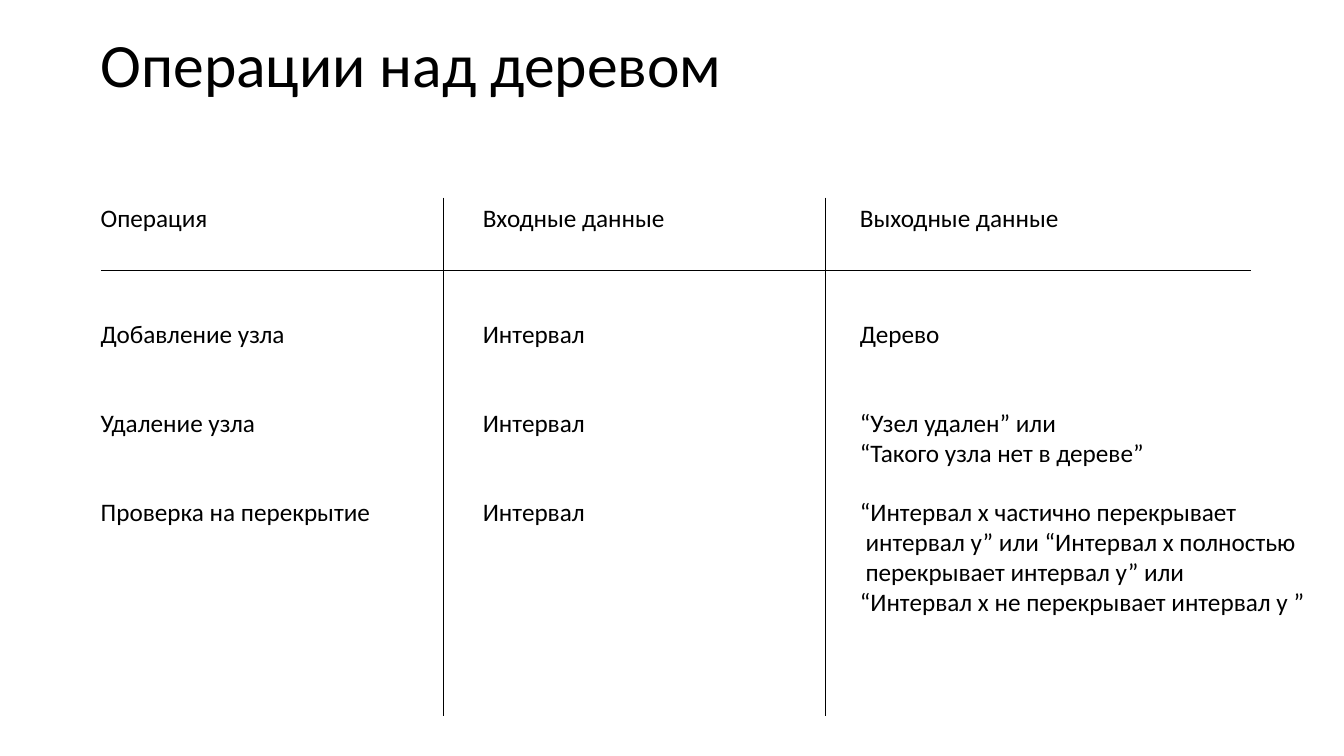
import pptx
import pptx.util
import pptx.dml.color
import pptx.enum.shapes
import pptx.enum.text
import pptx.oxml.ns
from lxml import etree

Inches = pptx.util.Inches
Pt = pptx.util.Pt
ANCHOR = pptx.enum.text.MSO_ANCHOR


def rgb(value):
    return pptx.dml.color.RGBColor.from_string(value)


class Deck:
    """Holds the style and the current slide and draws each kind of element."""

    font = "Calibri"
    ink = "000000"
    rule = 0.5

    def __init__(self, width, height):
        self.prs = pptx.Presentation()
        self.prs.slide_width = Inches(width)
        self.prs.slide_height = Inches(height)
        self.s = self.prs.slides.add_slide(self.prs.slide_layouts[6])

    def text(self, x, y, w, h, text, size=18, wrap=False, anchor=ANCHOR.TOP, spacing=1.0):
        sp = self.s.shapes.add_textbox(Inches(x), Inches(y), Inches(w), Inches(h))
        tf = sp.text_frame
        tf.text = text
        tf.word_wrap = wrap
        tf.vertical_anchor = anchor
        if not wrap:
            tf.auto_size = pptx.enum.text.MSO_AUTO_SIZE.SHAPE_TO_FIT_TEXT
        for p in tf.paragraphs:
            p.line_spacing = spacing
            for r in p.runs:
                r.font.name = self.font
                r.font.size = Pt(size)
                r.font.color.rgb = rgb(self.ink)

    def line(self, x1, y1, x2, y2):
        sp = self.s.shapes.add_connector(
            pptx.enum.shapes.MSO_CONNECTOR.STRAIGHT,
            Inches(x1), Inches(y1), Inches(x2), Inches(y2))
        sp.line.color.rgb = rgb(self.ink)
        sp.line.width = Pt(self.rule)
        etree.SubElement(sp._element.spPr, pptx.oxml.ns.qn("a:effectLst"))


COLUMNS = (0.9, 4.69, 8.43)
ROW_TOPS = (1.96, 3.11, 3.99, 4.87)
LINE_HEIGHT, PADDING = 0.3, 0.1
OPERATIONS = (
    (("Операция", 1.27), ("Входные данные", 2.02), ("Выходные данные", 2.19)),
    (("Добавление узла", 2.1), ("Интервал", 1.22), ("Дерево ", 1.06)),
    (("Удаление узла", 1.75), ("Интервал", 1.22),
     ("“Узел удален” или \n“Такого узла нет в дереве” ", 3.11)),
    (("Проверка на перекрытие", 2.91), ("Интервал", 1.22),
     ("“Интервал х частично перекрывает\n"
      " интервал y” или “Интервал х полностью\n"
      " перекрывает интервал y” или \n"
      "“Интервал х не перекрывает интервал y ”", 4.66)),
)

deck = Deck(13.33, 7.5)
deck.text(0.9, 0, 11.52, 1.34, "Операции над деревом", size=44, wrap=True,
          anchor=ANCHOR.MIDDLE, spacing=0.9)
for top, row in zip(ROW_TOPS, OPERATIONS):
    for left, (label, width) in zip(COLUMNS, row):
        height = PADDING + LINE_HEIGHT * len(label.split("\n"))
        deck.text(left, top, width, height, label)

deck.line(1, 2.68, 12.41, 2.68)
for divider in (4.4, 8.19):
    deck.line(divider, ROW_TOPS[0], divider, 7.1)

deck.prs.save("out.pptx")
